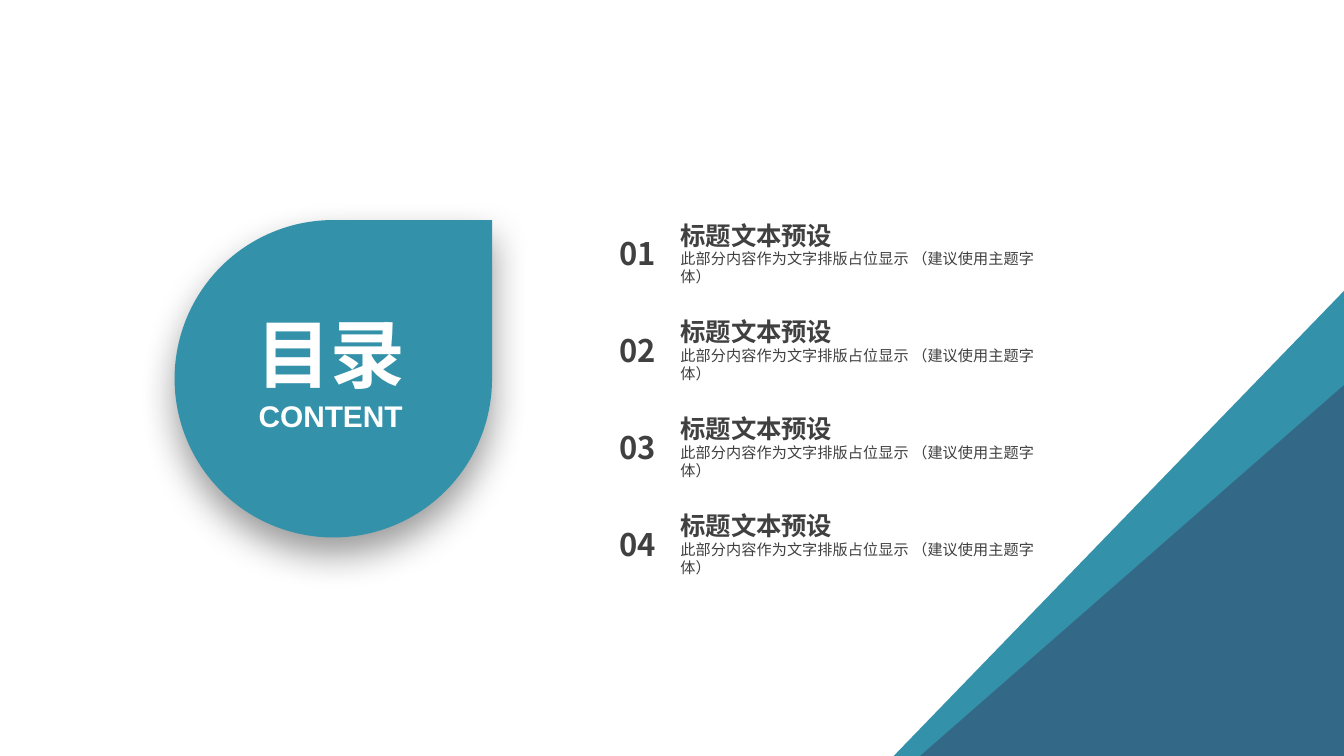
from pptx import Presentation
from pptx.dml.color import RGBColor
from pptx.enum.shapes import MSO_SHAPE
from pptx.enum.text import MSO_ANCHOR as ANCHOR, MSO_AUTO_SIZE, PP_ALIGN as ALIGN
from pptx.oxml import parse_xml
from pptx.oxml.ns import nsdecls, qn
from pptx.util import Cm, Pt

COLORS = {"teal": "3391AA", "navy": "336987", "text": "404040", "white": "FFFFFF"}
LATIN, CJK = "Arial", "Noto Sans CJK SC"
WIDTH, HEIGHT = 25.4, 14.29
ROW_TOP, ROW_STEP = 4.14, 1.83
HEADING = "标题文本预设"
DETAIL = "此部分内容作为文字排版占位显示 （建议使用主题字体）"


def rgb(name):
    return RGBColor.from_string(COLORS[name])


def paint(sp, color):
    sp.shadow.inherit = False
    sp.fill.solid()
    sp.fill.fore_color.rgb = rgb(color)
    sp.line.fill.background()


def set_frame(sp, anchor, inset=0, wrap=True):
    tf = sp.text_frame
    tf.auto_size = MSO_AUTO_SIZE.NONE
    tf.word_wrap = wrap
    tf.vertical_anchor = anchor
    tf.margin_left = Cm(inset)
    tf.margin_top = tf.margin_right = tf.margin_bottom = 0
    return tf


def add_text(p, text, size, color="text", bold=False, font=LATIN, align=ALIGN.LEFT):
    p.alignment = align
    r = p.add_run()
    r.text = text
    r.font.size, r.font.bold, r.font.name = Pt(size), bold, font
    r.font.color.rgb = rgb(color)
    # East Asian typeface follows the latin one
    ea = r._r.get_or_add_rPr().makeelement(qn("a:ea"), {"typeface": CJK})
    r.font._element.find(qn("a:latin")).addnext(ea)


def add_textbox(s, left, top, width, height, anchor, inset, text, size, bold=False):
    sp = s.shapes.add_textbox(Cm(left), Cm(top), Cm(width), Cm(height))
    tf = set_frame(sp, anchor, inset)
    add_text(tf.paragraphs[0], text, size, bold=bold)


def add_teardrop(s):
    sp = s.shapes.add_shape(MSO_SHAPE.TEAR, Cm(3.3), Cm(4.16), Cm(6), Cm(6))
    paint(sp, "teal")
    effects = sp._element.spPr.find(qn("a:effectLst"))
    effects.append(parse_xml(
        f'<a:outerShdw {nsdecls("a")} blurRad="{Pt(20)}" dist="{Pt(9)}" '
        'dir="5400000" algn="t" rotWithShape="0">'
        '<a:srgbClr val="000000"><a:alpha val="40000"/></a:srgbClr></a:outerShdw>'))


def add_title(s):
    title = s.shapes.title
    title.left, title.top, title.width, title.height = Cm(4.32), Cm(4.7), Cm(3.86), Cm(4.6)
    tf = set_frame(title, ANCHOR.MIDDLE)
    add_text(tf.paragraphs[0], "目录", 40, "white", True, align=ALIGN.CENTER)
    add_text(tf.add_paragraph(), "CONTENT", 16, "white", True, align=ALIGN.CENTER)
    # Bring the title in front of the teardrop
    s.shapes._spTree.append(title._element)


def add_entry(s, number, top):
    sp = s.shapes.add_shape(MSO_SHAPE.DIAMOND, Cm(11.4), Cm(top), Cm(1.3), Cm(1.3))
    paint(sp, "white")
    tf = set_frame(sp, ANCHOR.MIDDLE, wrap=False)
    add_text(tf.paragraphs[0], f"{number:02d}", 16.6, bold=True, font=CJK, align=ALIGN.CENTER)
    add_textbox(s, 11.86, top + 0.08, 8.26, 0.51, ANCHOR.BOTTOM, 1, HEADING, 13.6, True)
    add_textbox(s, 11.86, top + 0.59, 8.26, 0.66, ANCHOR.MIDDLE, 1, DETAIL, 8.1)


def add_corner(s, left, top, color):
    """Triangle filling the lower right corner of the slide."""
    builder = s.shapes.build_freeform(Cm(left), Cm(HEIGHT))
    builder.add_line_segments([(Cm(WIDTH), Cm(HEIGHT)), (Cm(WIDTH), Cm(top))])
    paint(builder.convert_to_shape(), color)


def main():
    prs = Presentation()
    prs.slide_width, prs.slide_height = Cm(WIDTH), Cm(HEIGHT)
    s = prs.slides.add_slide(prs.slide_layouts[5])

    # Contents badge
    add_teardrop(s)
    add_title(s)

    # Numbered entries
    for i in range(4):
        add_entry(s, i + 1, ROW_TOP + i * ROW_STEP)

    # Corner decoration
    add_corner(s, 16.89, 5.5, "teal")
    add_corner(s, 17.39, 7.28, "navy")

    prs.save("out.pptx")


if __name__ == "__main__":
    main()
